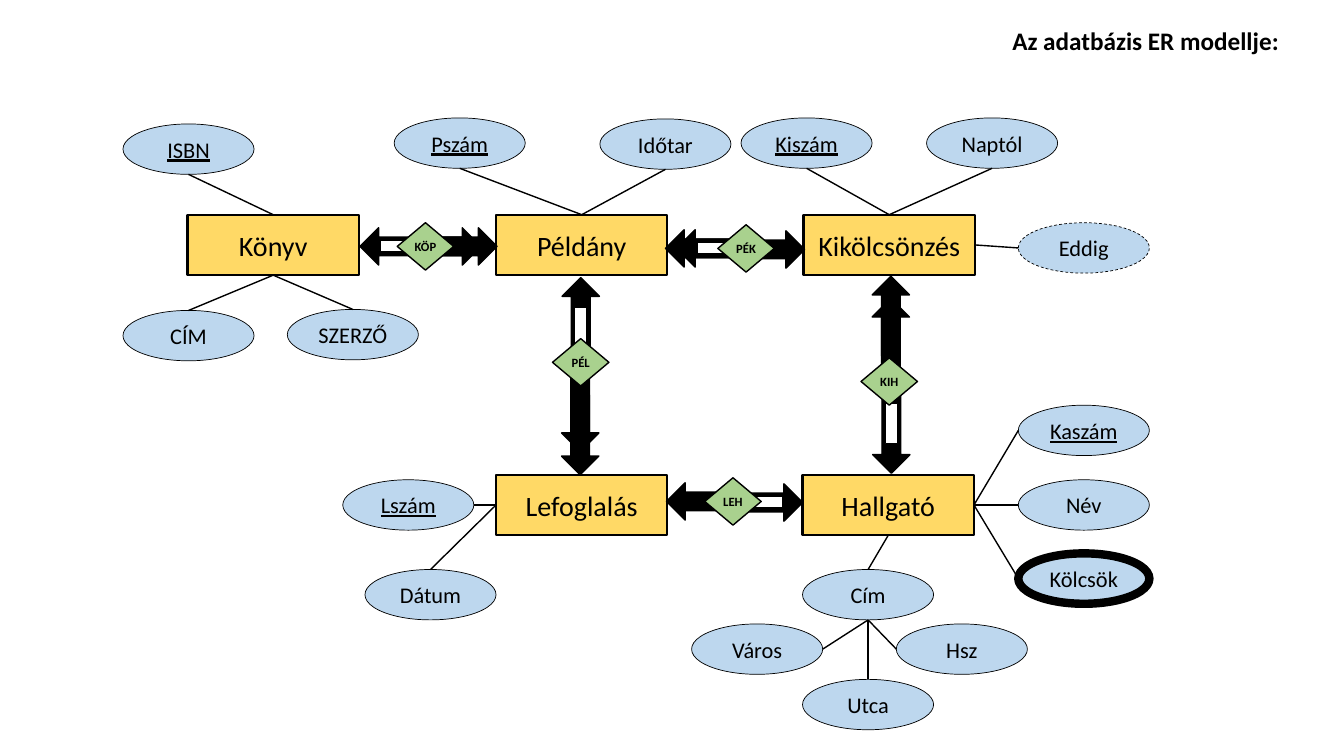
from dataclasses import dataclass

from lxml.etree import SubElement
from pptx import Presentation
from pptx.dml.color import RGBColor
from pptx.enum.dml import MSO_LINE
from pptx.enum.shapes import MSO_CONNECTOR, MSO_SHAPE
from pptx.enum.text import MSO_ANCHOR, MSO_AUTO_SIZE, PP_ALIGN
from pptx.oxml.ns import qn
from pptx.util import Inches, Pt


@dataclass(frozen=True)
class Theme:
    font: str = "Calibri"
    ink: RGBColor = RGBColor(0x00, 0x00, 0x00)
    paper: RGBColor = RGBColor(0xFF, 0xFF, 0xFF)
    entity: RGBColor = RGBColor(0xFF, 0xD9, 0x66)
    attribute: RGBColor = RGBColor(0xBD, 0xD7, 0xEE)
    relationship: RGBColor = RGBColor(0xA9, 0xD1, 0x8E)
    title_size: int = 18
    entity_size: int = 20
    attribute_size: int = 16
    relationship_size: int = 9


class Diagram:
    def __init__(self, slide, theme):
        self.slide = slide
        self.theme = theme

    def style_text(self, frame, text, size, bold, alignment, anchor):
        frame.text = text
        frame.vertical_anchor = anchor
        paragraph = frame.paragraphs[0]
        paragraph.alignment = alignment
        paragraph.font.name = self.theme.font
        paragraph.font.size = Pt(size)
        paragraph.font.bold = bold
        paragraph.font.color.rgb = self.theme.ink
        return paragraph

    def title(self, text, left, top, width, height):
        title = self.slide.shapes.title
        title.left, title.top = Inches(left), Inches(top)
        title.width, title.height = Inches(width), Inches(height)
        frame = title.text_frame
        frame.auto_size = MSO_AUTO_SIZE.NONE
        frame.word_wrap = True
        self.style_text(frame, text, self.theme.title_size, True, PP_ALIGN.LEFT, MSO_ANCHOR.TOP)

    def block(self, preset, left, top, width, height, fill, line_width, rotation=0):
        shape = self.slide.shapes.add_shape(
            preset, Inches(left), Inches(top), Inches(width), Inches(height))
        shape.shadow.inherit = False
        shape.fill.solid()
        shape.fill.fore_color.rgb = fill
        shape.line.color.rgb = self.theme.ink
        shape.line.width = Pt(line_width)
        shape.rotation = rotation
        return shape

    def label(self, shape, text, size, bold=False):
        frame = shape.text_frame
        frame.word_wrap = False
        frame.margin_left = frame.margin_right = 0
        return self.style_text(frame, text, size, bold, PP_ALIGN.CENTER, MSO_ANCHOR.MIDDLE)

    def entity(self, name, left, top):
        shape = self.block(MSO_SHAPE.RECTANGLE, left, top, 1.7, 0.6, self.theme.entity, 1.5)
        self.label(shape, name, self.theme.entity_size)
        return shape

    def attribute(self, name, left, top, key=False, derived=False, multivalued=False):
        shape = self.block(MSO_SHAPE.OVAL, left, top, 1.3, 0.5,
                           self.theme.attribute, 6 if multivalued else 0.5)
        if derived:
            shape.line.dash_style = MSO_LINE.DASH
        paragraph = self.label(shape, name, self.theme.attribute_size)
        if key:
            paragraph.font.underline = True
        return shape

    def side(self, shape, name):
        across, down = {"top": (0.5, 0), "bottom": (0.5, 1),
                        "left": (0, 0.5), "right": (1, 0.5)}[name]
        return shape.left + int(shape.width * across), shape.top + int(shape.height * down)

    def link(self, start, start_side, end, end_side):
        line = self.slide.shapes.add_connector(
            MSO_CONNECTOR.STRAIGHT, *self.side(start, start_side), *self.side(end, end_side))
        line.line.color.rgb = self.theme.ink
        line.line.width = Pt(1)
        SubElement(line._element.spPr, qn("a:effectLst"))

    def relationship(self, name, left, top, arrows, window):
        for arrow_left, arrow_top, length, rotation in arrows:
            self.block(MSO_SHAPE.LEFT_ARROW, arrow_left, arrow_top, length, 0.37,
                       self.theme.ink, 1, rotation)
        window_left, window_top, length, rotation = window
        self.block(MSO_SHAPE.RECTANGLE, window_left, window_top, length, 0.12,
                   self.theme.paper, 1, rotation)
        diamond = self.block(MSO_SHAPE.DIAMOND, left, top, 0.56, 0.47, self.theme.relationship, 1)
        self.label(diamond, name, self.theme.relationship_size, True)


LEFT, UP, RIGHT, DOWN = 0, 90, 180, 270

ENTITIES = [
    ("Könyv", 1.86, 2.13),
    ("Példány", 4.92, 2.13),
    ("Lefoglalás", 4.92, 4.71),
    ("Hallgató", 7.96, 4.71),
    ("Kikölcsönzés", 7.97, 2.13),
]

ATTRIBUTES = [
    ("ISBN", 1.22, 1.23, "bottom", "Könyv", "top", {"key": True}),
    ("SZERZŐ", 2.85, 3.07, "top", "Könyv", "bottom", {}),
    ("CÍM", 1.22, 3.08, "top", "Könyv", "bottom", {}),
    ("Pszám", 3.91, 1.17, "bottom", "Példány", "top", {"key": True}),
    ("Időtar", 5.95, 1.18, "bottom", "Példány", "top", {}),
    ("Kiszám", 7.35, 1.17, "bottom", "Kikölcsönzés", "top", {"key": True}),
    ("Naptól", 9.19, 1.17, "bottom", "Kikölcsönzés", "top", {}),
    ("Lszám", 3.4, 4.76, "right", "Lefoglalás", "left", {"key": True}),
    ("Dátum", 3.62, 5.65, "top", "Lefoglalás", "left", {}),
    ("Eddig", 10.1, 2.21, "left", "Kikölcsönzés", "right", {"derived": True}),
    ("Kaszám", 10.1, 4.02, "left", "Hallgató", "right", {"key": True}),
    ("Név", 10.1, 4.76, "left", "Hallgató", "right", {}),
    ("Cím", 7.96, 5.65, "top", "Hallgató", "bottom", {}),
    ("Hsz", 8.89, 6.19, "left", "Cím", "bottom", {}),
    ("Utca", 7.96, 6.74, "top", "Cím", "bottom", {}),
    ("Város", 6.86, 6.19, "right", "Cím", "bottom", {}),
    ("Kölcsök", 10.1, 5.49, "left", "Hallgató", "right", {"multivalued": True}),
]

RELATIONSHIPS = [
    ("KÖP", 3.94, 2.21,
     [(3.57, 2.26, 0.65, LEFT), (4.38, 2.26, 0.55, RIGHT), (4.22, 2.26, 0.55, RIGHT)],
     (3.77, 2.38, 0.27, LEFT)),
    ("PÉK", 7.12, 2.23,
     [(6.71, 2.28, 0.65, LEFT), (6.6, 2.28, 0.65, LEFT), (7.43, 2.29, 0.55, RIGHT)],
     (6.92, 2.4, 0.27, LEFT)),
    ("PÉL", 5.48, 3.36,
     [(5.29, 3.04, 0.94, UP), (5.36, 4.13, 0.79, DOWN), (5.36, 3.9, 0.79, DOWN)],
     (5.56, 3.19, 0.4, UP)),
    ("KIH", 8.54, 3.55,
     [(8.37, 4.04, 0.94, DOWN), (8.44, 2.95, 0.79, UP), (8.44, 3.17, 0.79, UP)],
     (8.64, 4.14, 0.4, DOWN)),
    ("LEH", 6.99, 4.74,
     [(7.31, 4.8, 0.65, RIGHT), (6.61, 4.79, 0.55, LEFT)],
     (7.49, 4.92, 0.27, RIGHT)),
]

presentation = Presentation()
presentation.slide_width = Inches(13.33)
presentation.slide_height = Inches(7.5)
slide = presentation.slides.add_slide(presentation.slide_layouts[5])
diagram = Diagram(slide, Theme())

diagram.title("Az adatbázis ER modellje:", 9.94, 0.2, 2.91, 0.4)
nodes = {name: diagram.entity(name, left, top) for name, left, top in ENTITIES}
for name, left, top, _, _, _, traits in ATTRIBUTES:
    nodes[name] = diagram.attribute(name, left, top, **traits)
for name, _, _, start_side, owner, end_side, _ in ATTRIBUTES:
    diagram.link(nodes[name], start_side, nodes[owner], end_side)
for relationship in RELATIONSHIPS:
    diagram.relationship(*relationship)

presentation.save("out.pptx")
